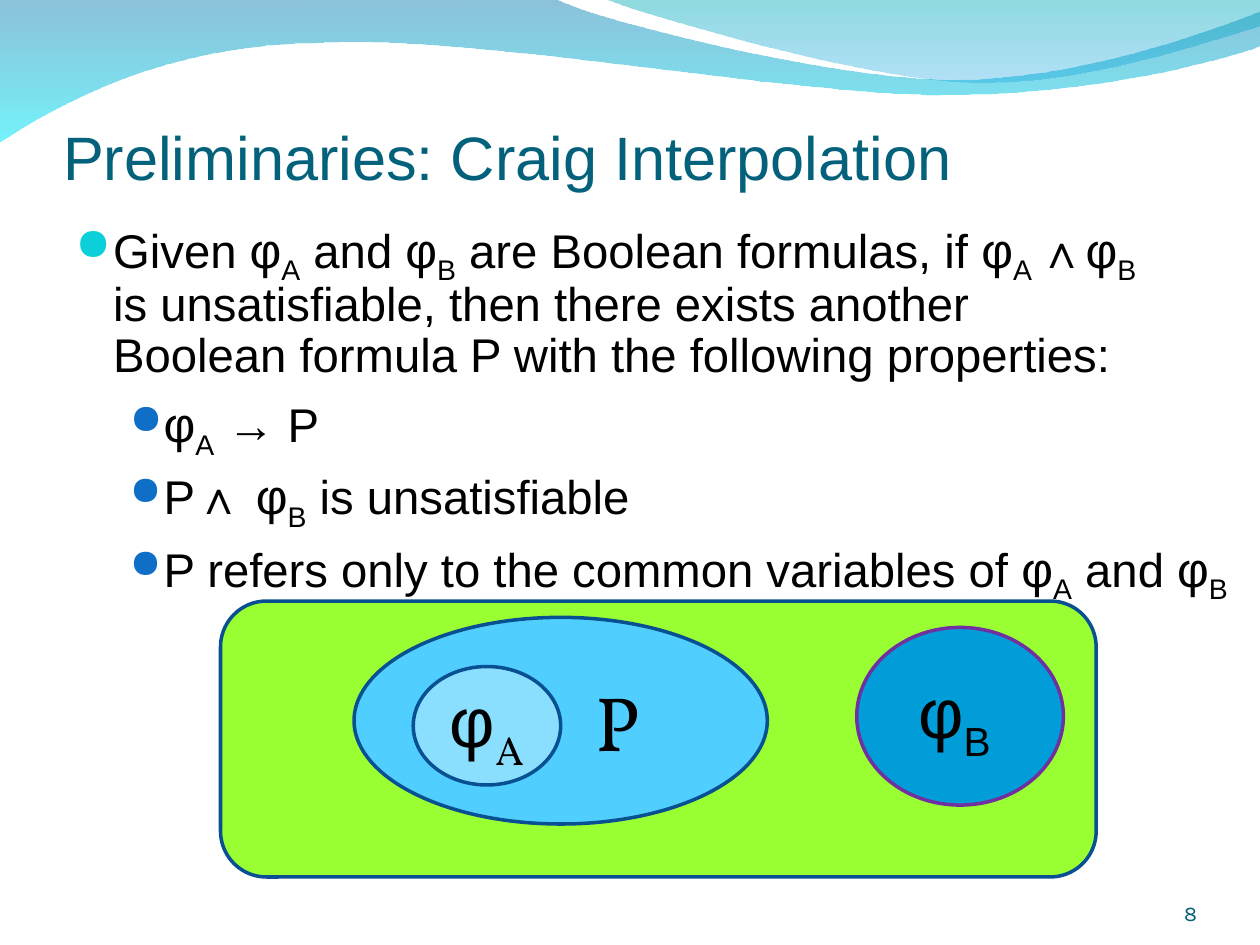
from lxml import etree
from pptx import Presentation
from pptx.dml.color import RGBColor
from pptx.enum.shapes import MSO_SHAPE
from pptx.enum.text import MSO_ANCHOR, PP_ALIGN
from pptx.oxml.ns import qn
from pptx.util import Inches, Pt

RECT, OVAL = MSO_SHAPE.ROUNDED_RECTANGLE, MSO_SHAPE.OVAL
LEFT, CENTER, RIGHT = PP_ALIGN.LEFT, PP_ALIGN.CENTER, PP_ALIGN.RIGHT
TOP, MIDDLE, BOTTOM = MSO_ANCHOR.TOP, MSO_ANCHOR.MIDDLE, MSO_ANCHOR.BOTTOM

COLORS = {
    "title": "04617B", "number": "045C75", "text": "000000",
    "bullet": "0BD0D9", "sub_bullet": "0F6FC6",
    "universe": "99FF33", "interpolant": "4FCEFF", "formula_a": "8ADFFF",
    "formula_b": "009DD9", "outline": "085091", "outline_b": "7030A0",
    "wave_top": "0079AF", "wave_bottom": "00EBF8",
    "crest_top": "00ADB6", "crest_bottom": "009BE5",
}

TITLE = "Preliminaries: Craig Interpolation"
# A run that starts with "_" is a subscript; "\n" is a line break.
BODY = [
    (0, ["Given ", "φ", "_A", " and ", "φ", "_B", " are Boolean formulas, if ",
         "φ", "_A ", "∧", "φ", "_B", "\n",
         "is unsatisfiable, then there exists another", "\n",
         "Boolean formula P with the following properties:"]),
    (1, ["φ", "_A", " → P"]),
    (1, ["P∧", " φ", "_B", " is unsatisfiable"]),
    (1, ["P refers only to the common variables of ",
         "φ", "_A", " and ", "φ", "_B"]),
]
# level: indent, hanging, space before, bullet colour, bullet size in %
LEVELS = [(0.3, 0.3, 13.5, "bullet", 95), (0.7, 0.27, 6.8, "sub_bullet", 85)]

# preset, box, fill, outline, left inset, runs as (text, size, font)
DIAGRAM = [
    (RECT, (1.75, 4.77, 6.95, 2.19), "universe", "outline", 0.1, []),
    (OVAL, (2.81, 4.9, 3.28, 1.64), "interpolant", "outline", 1.01,
     [("P", 44, "Vollkorn")]),
    (OVAL, (3.28, 5.29, 1.17, 0.94), "formula_a", "outline", 0.1,
     [("φ", 40, "Arial"), ("_A", 40, "Vollkorn")]),
    (OVAL, (6.8, 4.98, 1.64, 1.41), "formula_b", "outline_b", 0.1,
     [("φ", 40, "Arial"), ("_B ", 40, "Arial")]),
]

# One point is a straight line to it, three points are a Bézier curve.
WAVES = [
    ([[(0, -0.01)], [(4.4, -0.01)], [(4.76, 0.17), (6.64, 0.63), (7.58, 0.63)],
      [(8.53, 0.63), (9.58, 0.26), (10, 0.09)], [(10.01, 0.36)],
      [(9.83, 0.44), (8.7, 0.76), (7.46, 0.75)],
      [(6.22, 0.75), (3.82, 0.28), (2.57, 0.34)],
      [(1.29, 0.35), (0.46, 0.83), (-0.01, 1.13)]],
     [("wave_top", 45), ("wave_bottom", 55)]),
    ([[(4.79, -0.01)], [(5.09, 0.11), (6.82, 0.62), (7.69, 0.65)],
      [(8.56, 0.69), (9.61, 0.32), (10, 0.21)], [(10, 0)]],
     [("crest_top", 45), ("crest_bottom", 30)]),
]


def rgb(name):
    return RGBColor.from_string(COLORS[name])


def bend(s, segments):
    """Merge the three lines of each curved segment into one Bézier curve."""
    lines = iter(list(s._element.spPr.iter(qn("a:lnTo"))))
    for segment in segments[1:]:
        group = [next(lines) for _ in segment]
        if len(group) == 3:
            curve = etree.Element(qn("a:cubicBezTo"))
            group[0].addprevious(curve)
            for line in group:
                curve.append(line[0])
                line.getparent().remove(line)


def add_wave(slide, segments, stops):
    start, *rest = [(Inches(x), Inches(y)) for seg in segments for x, y in seg]
    builder = slide.shapes.build_freeform(*start)
    builder.add_line_segments(rest, close=True)
    s = builder.convert_to_shape()
    bend(s, segments)
    s.shadow.inherit = False
    s.line.fill.background()
    s.fill.gradient()
    s.fill.gradient_angle = 270
    for stop, position, (color, _) in zip(s.fill.gradient_stops, (0, 1), stops):
        stop.position = position
        stop.color.rgb = rgb(color)
    for node, (_, opacity) in zip(s._element.spPr.iter(qn("a:srgbClr")), stops):
        etree.SubElement(node, qn("a:alpha")).set("val", str(opacity * 1000))


def set_frame(tf, anchor, margins):
    fmt = dict(zip(("margin_left", "margin_top", "margin_right", "margin_bottom"),
                   map(Inches, margins)), vertical_anchor=anchor, word_wrap=True)
    for name, value in fmt.items():
        setattr(tf, name, value)


def add_run(p, text, size, font="Arial", color="text"):
    r = p.add_run()
    r.text = text.removeprefix("_")
    r.font.size, r.font.name = Pt(size), font
    r.font.color.rgb = rgb(color)
    if text.startswith("_"):
        r._r.get_or_add_rPr().set("baseline", "-25000")


def set_bullet(p, indent, hanging, color, size):
    pPr = p._p.get_or_add_pPr()
    pPr.set("marL", str(Inches(indent)))
    pPr.set("indent", str(-Inches(hanging)))
    bu_color = etree.SubElement(pPr, qn("a:buClr"))
    etree.SubElement(bu_color, qn("a:srgbClr")).set("val", COLORS[color])
    etree.SubElement(pPr, qn("a:buSzPct")).set("val", str(size * 1000))
    etree.SubElement(pPr, qn("a:buFont")).set("typeface", "OpenSymbol")
    etree.SubElement(pPr, qn("a:buChar")).set("char", "●")


def add_title(slide):
    title = slide.shapes.title
    title.left, title.top, title.width, title.height = map(Inches, (0.5, 0.6, 9, 0.93))
    set_frame(title.text_frame, BOTTOM, (0, 0.05, 0, 0))
    p = title.text_frame.paragraphs[0]
    p.alignment = LEFT
    add_run(p, TITLE, 35, color="title")


def add_body(slide):
    tf = slide.shapes.add_textbox(*map(Inches, (0.5, 1.7, 9.5, 4.8))).text_frame
    set_frame(tf, TOP, (0.1, 0.05, 0.1, 0.05))
    for i, (level, runs) in enumerate(BODY):
        p = tf.add_paragraph() if i else tf.paragraphs[0]
        indent, hanging, before, color, size = LEVELS[level]
        p.level, p.line_spacing, p.space_before = level, 0.9, Pt(before)
        set_bullet(p, indent, hanging, color, size)
        for text in runs:
            if text == "\n":
                p.add_line_break()
            else:
                add_run(p, text, 28 if "φ" in text or text[0] == "_" else 27)


def add_diagram(slide):
    for preset, box, fill, outline, inset, runs in DIAGRAM:
        s = slide.shapes.add_shape(preset, *map(Inches, box))
        s.shadow.inherit = False
        s.fill.solid()
        s.fill.fore_color.rgb = rgb(fill)
        s.line.color.rgb = rgb(outline)
        s.line.width = Pt(2)
        set_frame(s.text_frame, MIDDLE, (inset, 0.05, 0.1, 0.05))
        p = s.text_frame.paragraphs[0]
        p.alignment = CENTER
        for run in runs:
            add_run(p, *run)


def add_number(slide):
    tf = slide.shapes.add_textbox(*map(Inches, (8.67, 6.95, 0.83, 0.4))).text_frame
    set_frame(tf, BOTTOM, (0, 0, 0, 0))
    p = tf.paragraphs[0]
    p.alignment = RIGHT
    add_run(p, "8", 12, "Karla", "number")


def main():
    prs = Presentation()
    prs.slide_width, prs.slide_height = Inches(10), Inches(7.5)
    slide = prs.slides.add_slide(prs.slide_layouts[5])
    for segments, stops in WAVES:
        add_wave(slide, segments, stops)
    add_title(slide)
    add_diagram(slide)
    add_body(slide)
    add_number(slide)
    prs.save("out.pptx")


if __name__ == "__main__":
    main()
